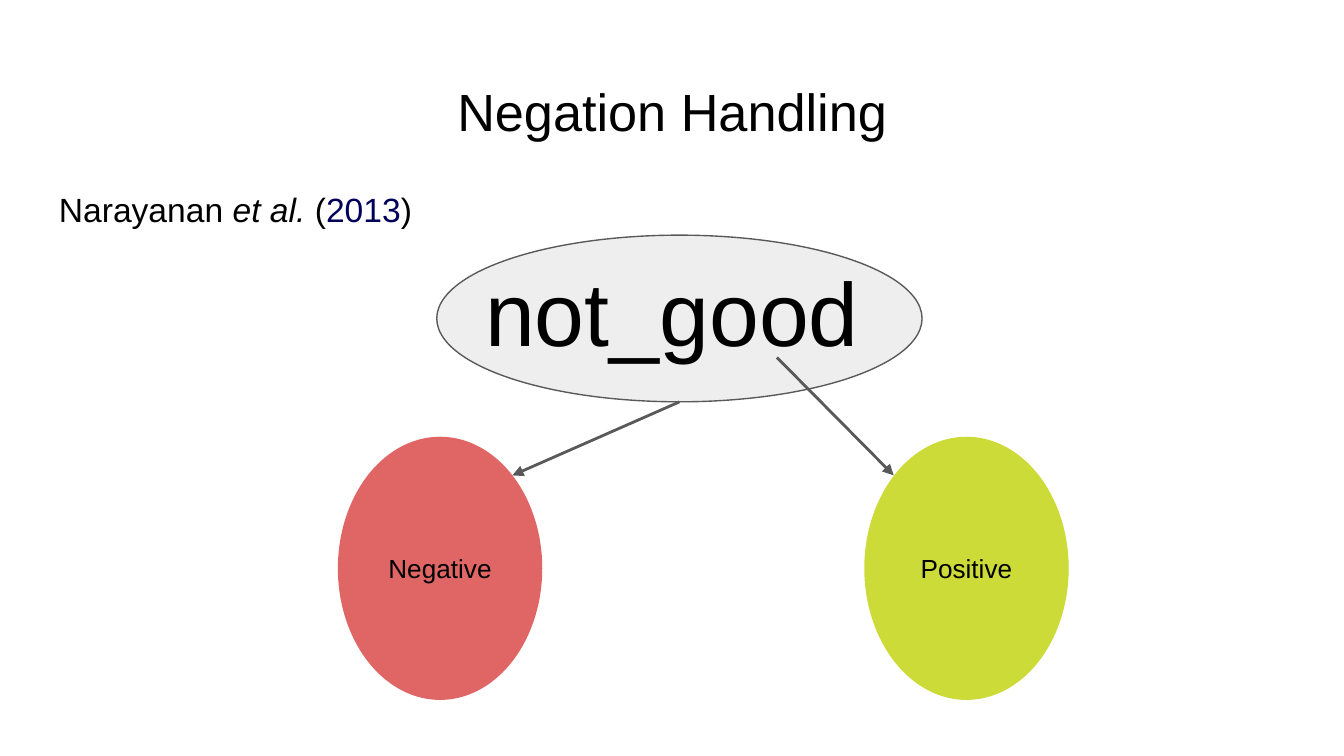
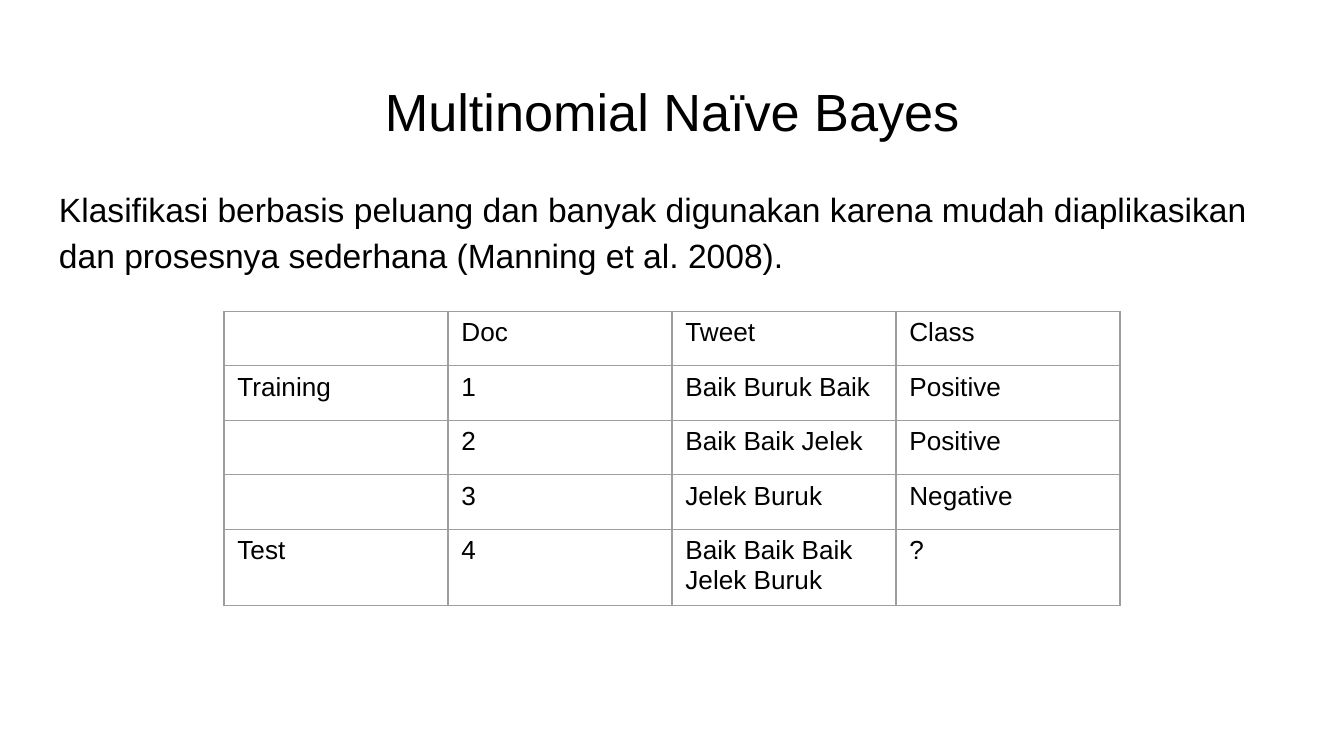
from lxml import etree
from pptx import Presentation
from pptx.dml.color import RGBColor
from pptx.enum.shapes import MSO_CONNECTOR, MSO_SHAPE
from pptx.enum.text import MSO_ANCHOR, PP_ALIGN
from pptx.oxml.ns import qn
from pptx.util import Pt

BLACK = RGBColor(0x00, 0x00, 0x00)
GRAY = RGBColor(0x59, 0x59, 0x59)
LIGHT_GRAY = RGBColor(0xEE, 0xEE, 0xEE)
BORDER_GRAY = RGBColor(0x9E, 0x9E, 0x9E)
NAVY = RGBColor(0x00, 0x00, 0x5A)
RED = RGBColor(0xE0, 0x66, 0x66)
LIME = RGBColor(0xCC, 0xDB, 0x37)

LEFT, CENTER = PP_ALIGN.LEFT, PP_ALIGN.CENTER
TOP, MIDDLE = MSO_ANCHOR.TOP, MSO_ANCHOR.MIDDLE
OVAL, CIRCLE = MSO_SHAPE.OVAL, MSO_SHAPE.FLOWCHART_CONNECTOR
STRAIGHT = MSO_CONNECTOR.STRAIGHT

FONT = "Arial"
MARGIN = 24.5
CONTENT_WIDTH = 671
INSET = 7.2
CLASS_TOP, CLASS_WIDTH, CLASS_HEIGHT = 234, 109.5, 141
COLUMN_WIDTH, ROW_HEIGHT = 120, 29.2


def write_text(text_frame, text, size=14, align=LEFT, anchor=TOP, inset=INSET,
               line_spacing=None, space_after=None):
    text_frame.word_wrap = True
    text_frame.vertical_anchor = anchor
    text_frame.margin_left = text_frame.margin_right = Pt(inset)
    text_frame.margin_top = text_frame.margin_bottom = Pt(inset)
    paragraph = text_frame.paragraphs[0]
    paragraph.alignment = align
    if line_spacing:
        paragraph.line_spacing = line_spacing
    if space_after:
        paragraph.space_after = Pt(space_after)
    pieces = [(text, {})] if isinstance(text, str) else text
    for words, style in pieces:
        run = paragraph.add_run()
        run.text = words
        run.font.name = FONT
        run.font.size = Pt(size)
        run.font.italic = style.get("italic", False)
        run.font.color.rgb = style.get("color", BLACK)


def add_text(slide, text, left, top, width, height, **text_format):
    box = slide.shapes.add_textbox(Pt(left), Pt(top), Pt(width), Pt(height))
    write_text(box.text_frame, text, **text_format)


def add_title(slide, text):
    add_text(slide, text, MARGIN, 35, CONTENT_WIDTH, 45.5, size=28, align=CENTER)


def add_body(slide, text, height):
    add_text(slide, text, MARGIN, 90.7, CONTENT_WIDTH, height, size=18,
             line_spacing=1.15, space_after=16)


def add_filled_shape(slide, kind, left, top, width, height, fill, line=None):
    shape = slide.shapes.add_shape(kind, Pt(left), Pt(top), Pt(width), Pt(height))
    shape.shadow.inherit = False
    shape.fill.solid()
    shape.fill.fore_color.rgb = fill
    if line is None:
        shape.line.fill.background()
    else:
        shape.line.color.rgb = line
        shape.line.width = Pt(0.75)
    return shape


def add_class(slide, label, left, fill):
    shape = add_filled_shape(slide, CIRCLE, left, CLASS_TOP, CLASS_WIDTH, CLASS_HEIGHT, fill)
    write_text(shape.text_frame, label, align=CENTER, anchor=MIDDLE)


def add_arrow(slide, start, end):
    arrow = slide.shapes.add_connector(STRAIGHT, *map(Pt, start + end))
    arrow.line.color.rgb = GRAY
    arrow.line.width = Pt(1.5)
    etree.SubElement(arrow.line._get_or_add_ln(), qn("a:tailEnd"), type="triangle")
    etree.SubElement(arrow._element.spPr, qn("a:effectLst"))


def set_borders(cell):
    properties = cell._tc.get_or_add_tcPr()
    for position, side in enumerate(("lnL", "lnR", "lnT", "lnB")):
        border = etree.Element(qn(f"a:{side}"), w=str(Pt(0.75)))
        fill = etree.SubElement(border, qn("a:solidFill"))
        etree.SubElement(fill, qn("a:srgbClr"), val=str(BORDER_GRAY))
        properties.insert(position, border)


def add_grid(slide, rows, left, top):
    column_count = len(rows[0])
    frame = slide.shapes.add_table(len(rows), column_count, Pt(left), Pt(top),
                                   Pt(COLUMN_WIDTH * column_count), Pt(ROW_HEIGHT * len(rows)))
    table = frame.table
    table.first_row = table.horz_banding = False
    for column in table.columns:
        column.width = Pt(COLUMN_WIDTH)
    for row, values in zip(table.rows, rows):
        row.height = Pt(ROW_HEIGHT)
        for cell, value in zip(row.cells, values):
            cell.fill.background()
            set_borders(cell)
            if value:
                write_text(cell.text_frame, value)
            cell.margin_left = cell.margin_right = Pt(INSET)
            cell.margin_top = cell.margin_bottom = Pt(3.6)
            cell.vertical_anchor = TOP


def build_negation(slide):
    add_filled_shape(slide, OVAL, 234, 126, 260, 89.3, LIGHT_GRAY, line=GRAY)
    add_title(slide, "Negation Handling")
    add_body(slide, [("Narayanan ", {}), ("et al. ", {"italic": True}), ("(", {}),
                     ("2013", {"color": NAVY}), (")", {})], 39)
    add_text(slide, "not_good", 90.7, 130.3, 538.6, 62.6, size=48, align=CENTER)
    add_class(slide, "Negative", 181, RED)
    add_class(slide, "Positive", 463, LIME)
    add_arrow(slide, (364, 215.3), (274.5, 254.7))
    add_arrow(slide, (416.2, 191.5), (478.8, 254.7))


def build_naive_bayes(slide):
    add_title(slide, "Multinomial Naïve Bayes")
    add_body(slide, "Klasifikasi berbasis peluang dan banyak digunakan karena mudah "
                    "diaplikasikan dan prosesnya sederhana (Manning et al. 2008).", 269)
    add_grid(slide, [
        ("", "Doc", "Tweet", "Class"),
        ("Training", "1", "Baik Buruk Baik", "Positive"),
        ("", "2", "Baik Baik Jelek", "Positive"),
        ("", "3", "Jelek Buruk", "Negative"),
        ("Test", "4", "Baik Baik Baik Jelek Buruk", "?"),
    ], 120, 166.8)


def main():
    presentation = Presentation()
    presentation.slide_width, presentation.slide_height = Pt(720), Pt(405)
    blank = presentation.slide_layouts[6]
    for build in (build_negation, build_naive_bayes):
        build(presentation.slides.add_slide(blank))
    presentation.save("out.pptx")


if __name__ == "__main__":
    main()
